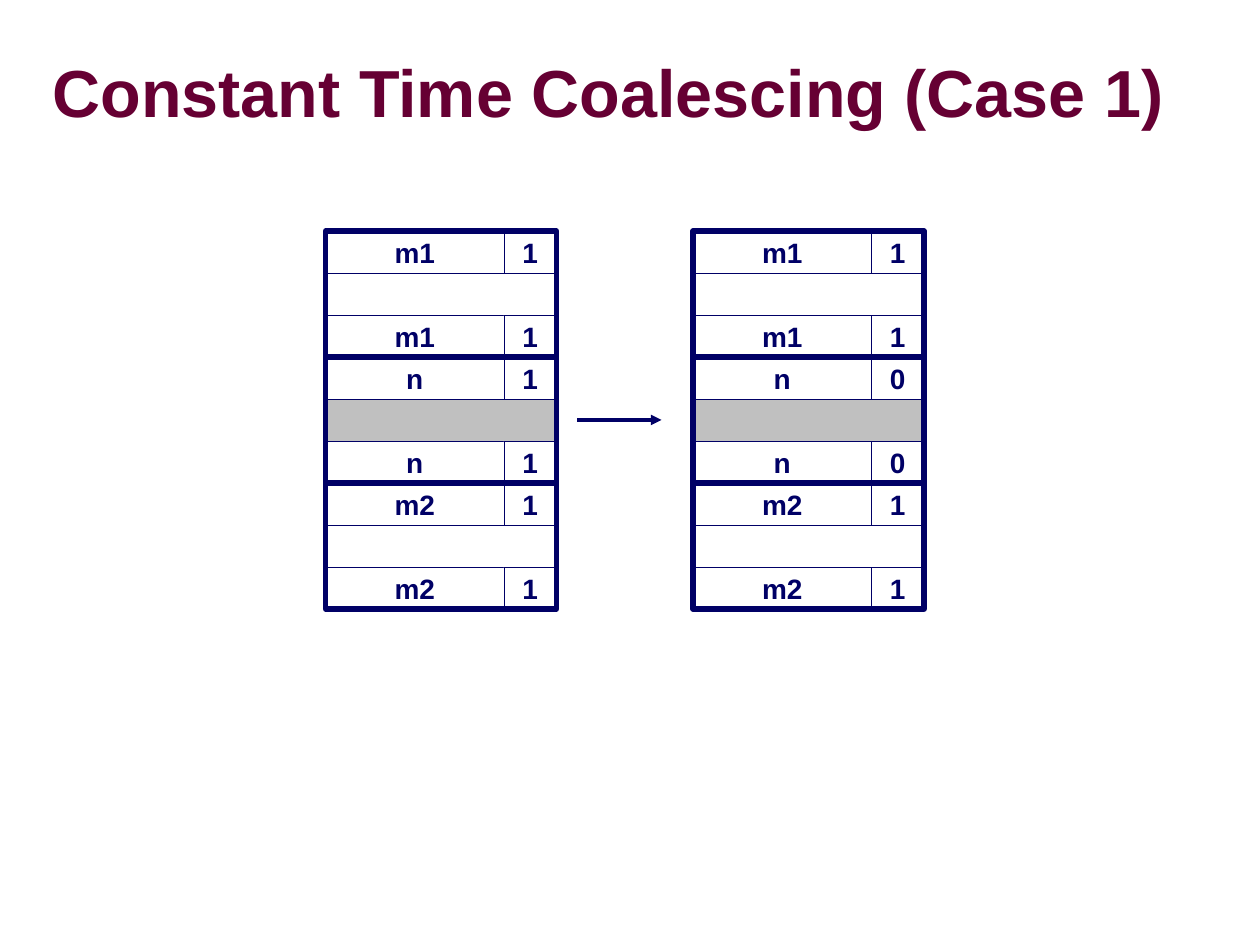
"""Build the slide on constant time coalescing, case 1."""
from dataclasses import dataclass

from lxml import etree
from pptx import Presentation
from pptx import util as u
from pptx.dml.color import RGBColor
from pptx.enum import shapes, text
from pptx.oxml import parse_xml
from pptx.oxml.ns import nsdecls, qn

COLORS = {"navy": "000066", "maroon": "660033", "white": "FFFFFF", "gray": "C0C0C0"}
FONT = "Arial"
TOP, ROW_H, SIZE_W, FLAG_W = 132, 24, 102, 30
BLOCK_W, BLOCK_H = SIZE_W + FLAG_W, 3 * ROW_H


@dataclass
class Block:
    size: str
    flag: str
    body: str = "white"


@dataclass
class Heap:
    left: float
    blocks: list[Block]


HEAPS = [
    Heap(186, [Block("m1", "1"), Block("n", "1", "gray"), Block("m2", "1")]),
    Heap(396, [Block("m1", "1"), Block("n", "0", "gray"), Block("m2", "1")]),
]


def rgb(name: str) -> RGBColor:
    return RGBColor.from_string(COLORS[name])


def set_font(font, size: float, color: str) -> None:
    font.name, font.size, font.bold = FONT, u.Pt(size), True
    font.color.rgb = rgb(color)


def add_rect(s, x: float, y: float, w: float, h: float, fill: str | None,
             line: float = 0.25, label: str = "") -> None:
    sp = s.shapes.add_shape(shapes.MSO_SHAPE.RECTANGLE, u.Pt(x), u.Pt(y), u.Pt(w), u.Pt(h))
    sp.shadow.inherit = False
    if fill:
        sp.fill.solid()
        sp.fill.fore_color.rgb = rgb(fill)
    else:
        sp.fill.background()
    sp.line.color.rgb = rgb("navy")
    sp.line.width = u.Pt(line)
    if label:
        tf = sp.text_frame
        tf.text = label
        tf.word_wrap = False
        tf.vertical_anchor = text.MSO_ANCHOR.MIDDLE
        p = tf.paragraphs[0]
        p.alignment = text.PP_ALIGN.CENTER
        set_font(p.runs[0].font, 16, "navy")


def add_block(s, x: float, y: float, block: Block) -> None:
    add_rect(s, x, y + ROW_H, BLOCK_W, ROW_H, block.body)
    for tag_y in (y, y + 2 * ROW_H):
        add_rect(s, x, tag_y, SIZE_W, ROW_H, "white", label=block.size)
        add_rect(s, x + SIZE_W, tag_y, FLAG_W, ROW_H, "white", label=block.flag)
    add_rect(s, x, y, BLOCK_W, BLOCK_H, None, line=3)


def add_arrow(s, x1: float, x2: float, y: float) -> None:
    c = s.shapes.add_connector(shapes.MSO_CONNECTOR.STRAIGHT,
                               u.Pt(x1), u.Pt(y), u.Pt(x2), u.Pt(y))
    c.line.color.rgb = rgb("navy")
    c.line.width = u.Pt(2)
    etree.SubElement(c.line._get_or_add_ln(), qn("a:tailEnd"), type="triangle")
    etree.SubElement(c._element.spPr, qn("a:effectLst"))


def set_title(s, title: str) -> None:
    sp = s.shapes.title
    sp.left, sp.top, sp.width, sp.height = u.Pt(30), u.Pt(33), u.Pt(654), u.Pt(45)
    tf = sp.text_frame
    tf.text = title
    tf.word_wrap = True
    tf.auto_size = text.MSO_AUTO_SIZE.NONE
    tf.vertical_anchor = text.MSO_ANCHOR.MIDDLE
    tf.margin_left = tf.margin_right = tf.margin_top = tf.margin_bottom = 0
    p = tf.paragraphs[0]
    p.alignment = text.PP_ALIGN.LEFT
    p.line_spacing = 0.87
    r = p.runs[0]
    set_font(r.font, 38, "maroon")
    shadow = parse_xml(
        f'<a:effectLst {nsdecls("a")}><a:outerShdw blurRad="38100" dist="38100" dir="2700000">'
        f'<a:srgbClr val="{COLORS["gray"]}"/></a:outerShdw></a:effectLst>')
    r._r.rPr.find(qn("a:solidFill")).addnext(shadow)


def main() -> None:
    prs = Presentation()
    prs.slide_width, prs.slide_height = u.Pt(720), u.Pt(540)
    s = prs.slides.add_slide(prs.slide_layouts[5])
    set_title(s, "Constant Time Coalescing (Case 1)")
    for heap in HEAPS:
        for i, block in enumerate(heap.blocks):
            add_block(s, heap.left, TOP + i * BLOCK_H, block)
    add_arrow(s, 330, 378, TOP + 1.5 * BLOCK_H)
    prs.save("out.pptx")


if __name__ == "__main__":
    main()
